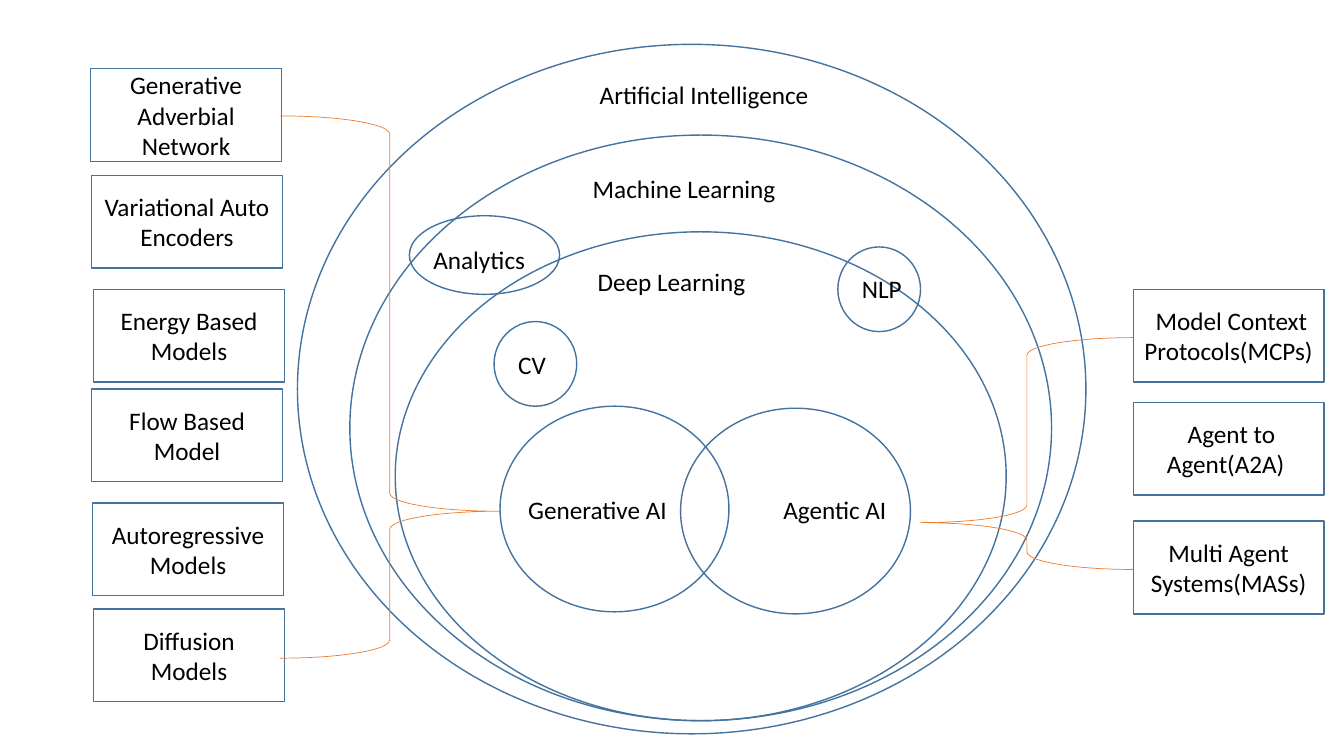
from pptx import Presentation
from pptx.dml.color import RGBColor
from pptx.enum.shapes import MSO_SHAPE
from pptx.enum.text import MSO_ANCHOR, MSO_AUTO_SIZE, PP_ALIGN
from pptx.util import Inches, Pt

BLUE = RGBColor(0x43, 0x73, 0x9E)
ORANGE = RGBColor(0xED, 0x7D, 0x31)
BLACK = RGBColor(0x00, 0x00, 0x00)

BOX_WIDTH, BOX_HEIGHT = 1.89, 0.92
LABEL_HEIGHT = 0.4

# Field name, its ellipse (left, top, width, height),
# and its label (offset right, offset down, width)
FIELDS = [
    ("Artificial Intelligence", (2.95, 0.44, 7.82, 6.84), (2.9, 0.3, 2.34)),
    ("Machine Learning", (3.47, 1.34, 6.96, 5.81), (2.31, 0.33, 2.34)),
    ("Deep Learning", (3.92, 2.3, 6.06, 4.85), (1.91, 0.29, 2.34)),
    ("Generative AI", (4.96, 4.03, 2.27, 2.04), (0.18, 0.82, 1.65)),
    ("Agentic AI", (6.75, 4.05, 2.28, 2.04), (0.92, 0.8, 1.65)),
    ("NLP", (8.31, 2.45, 0.82, 0.84), (0.14, 0.21, 0.68)),
    ("CV", (4.9, 3.19, 0.82, 0.84), (0.14, 0.23, 0.68)),
    ("Analytics", (4.06, 2.14, 1.49, 0.78), (0.14, 0.23, 1.27)),
]

# Box text with its offset from the column's top left corner
GENERATIVE_MODELS = [
    ("Generative Adverbial Network", 0, 0),
    ("Variational Auto Encoders", 0.01, 1.06),
    ("Energy Based Models", 0.03, 2.19),
    ("Flow Based Model", 0.01, 3.18),
    ("Autoregressive Models", 0.02, 4.31),
    ("Diffusion Models", 0.03, 5.36),
]
AGENT_METHODS = [
    (" Model Context Protocols(MCPs)", 0, 0),
    (" Agent to Agent(A2A) ", 0, 1.12),
    ("Multi Agent Systems(MASs)", 0, 2.3),
]


def add_outline(shapes, kind, box, color=BLUE, weight=1):
    """Add an unfilled preset shape."""
    shape = shapes.add_shape(kind, *map(Inches, box))
    shape.shadow.inherit = False
    shape.fill.background()
    shape.line.color.rgb = color
    shape.line.width = Pt(weight)
    return shape


def write_text(shape, text, align=PP_ALIGN.LEFT, anchor=MSO_ANCHOR.TOP,
               size=18, color=BLACK, font="Calibri"):
    frame = shape.text_frame
    frame.word_wrap = True
    frame.vertical_anchor = anchor
    paragraph = frame.paragraphs[0]
    paragraph.alignment = align
    run = paragraph.add_run()
    run.text = text
    run.font.name = font
    run.font.size = Pt(size)
    run.font.color.rgb = color


def add_field(shapes, name, box, label):
    """Add an ellipse and its label, placed from the ellipse's top left."""
    add_outline(shapes, MSO_SHAPE.OVAL, box)
    right, down, width = label
    text_box = shapes.add_textbox(Inches(box[0] + right), Inches(box[1] + down),
                                  Inches(width), Inches(LABEL_HEIGHT))
    write_text(text_box, name)
    text_box.text_frame.auto_size = MSO_AUTO_SIZE.SHAPE_TO_FIT_TEXT


def add_box_column(shapes, left, top, entries):
    for text, right, down in entries:
        box = (left + right, top + down, BOX_WIDTH, BOX_HEIGHT)
        shape = add_outline(shapes, MSO_SHAPE.RECTANGLE, box)
        write_text(shape, text, align=PP_ALIGN.CENTER, anchor=MSO_ANCHOR.MIDDLE)


def add_brace(shapes, kind, box, point):
    """Add a brace whose tip lies at the fraction point of its height."""
    brace = add_outline(shapes, kind, box, color=ORANGE, weight=0.5)
    brace.adjustments[0] = 0.083
    brace.adjustments[1] = point


def main():
    presentation = Presentation()
    presentation.slide_width = Inches(13.33)
    presentation.slide_height = Inches(7.5)
    slide = presentation.slides.add_slide(presentation.slide_layouts[6])
    shapes = slide.shapes

    for name, box, label in FIELDS:
        add_field(shapes, name, box, label)
    add_box_column(shapes, 0.9, 0.68, GENERATIVE_MODELS)
    add_box_column(shapes, 11.24, 2.87, AGENT_METHODS)
    add_brace(shapes, MSO_SHAPE.RIGHT_BRACE, (2.78, 1.15, 2.17, 5.38), 0.729)
    add_brace(shapes, MSO_SHAPE.LEFT_BRACE, (9.13, 3.35, 2.11, 2.3), 0.798)

    presentation.save("out.pptx")


if __name__ == "__main__":
    main()
